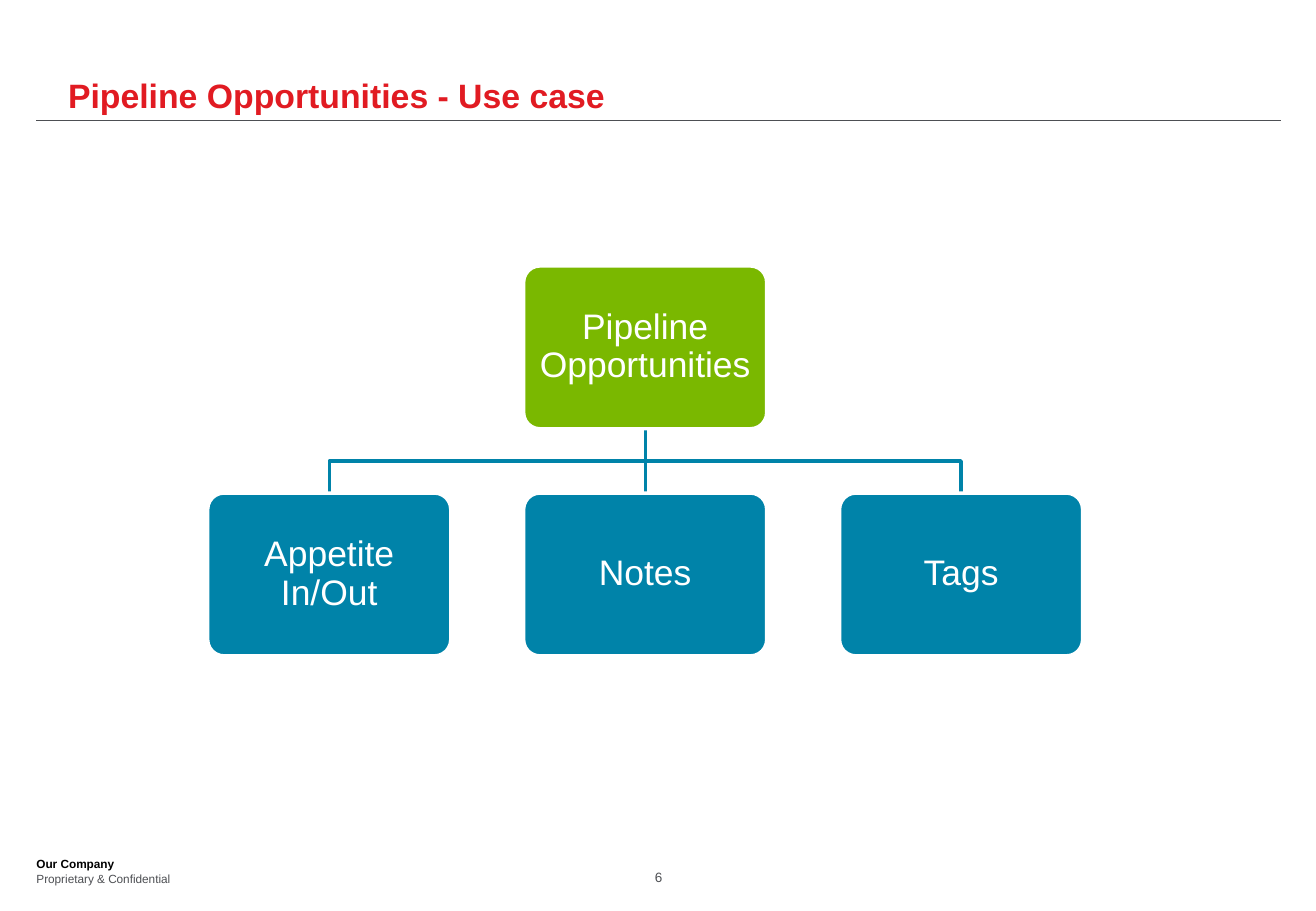
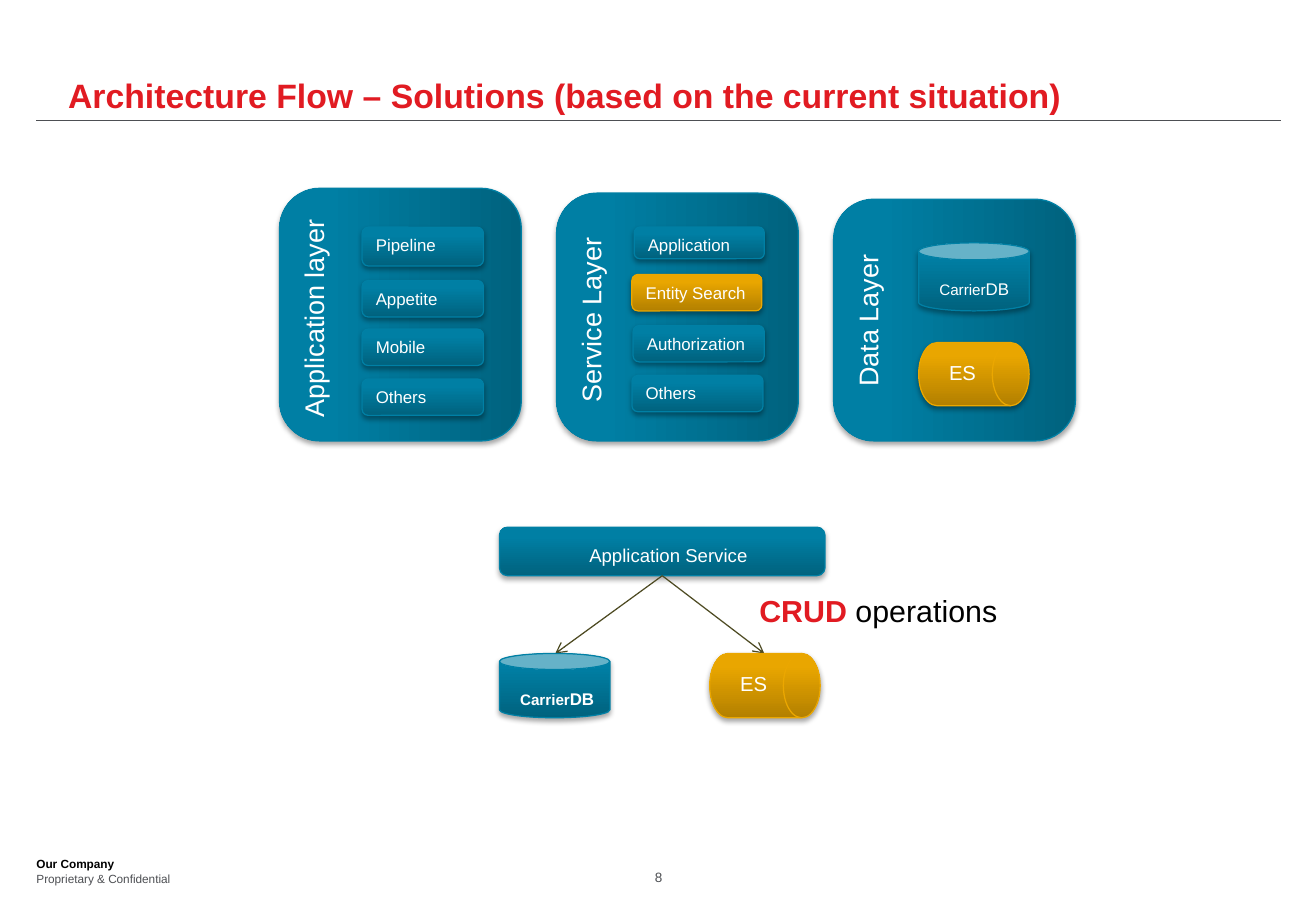
"""Build two slides: a pipeline use-case tree and a layered architecture flow."""
from lxml import etree
from pptx import Presentation, util as u
from pptx.dml.color import RGBColor
from pptx.enum import shapes, text
from pptx.oxml import parse_xml
from pptx.oxml.ns import qn, nsdecls

W, H = 10.83, 7.5
RED, GREEN, BLUE, GREY, OLIVE = "E11B22", "7AB800", "0083A9", "4D4F53", "4E4B23"
WHITE, BLACK = "FFFFFF", "000000"
TEAL = ("00627E", "007FA4", "0080A5")
GOLD = ("B38000", "E9A600", "EBA700")
FOOTER = [[("Our Company", {"size": 7, "color": BLACK, "bold": True})],
          [("Proprietary & Confidential", {"size": 7, "color": GREY})]]

USE_CASE = ("Pipeline Opportunities - Use case", "6")
ROOT = "Pipeline Opportunities"
BRANCHES = ["Appetite In/Out", "Notes", "Tags"]

FLOW = ("Architecture Flow – Solutions (based on the current situation)", "8")
LAYERS = [("Application layer", 2.08, 0.1),
          ("Service Layer", 2.04, 0.22),
          ("Data Layer", 1.99, 0.35)]
MODULES = [("Pipeline", 2.98, 1.87, 1, 0.32, TEAL),
           ("Appetite", 2.98, 2.31, 1, 0.3, TEAL),
           ("Mobile", 2.98, 2.71, 1, 0.3, TEAL),
           ("Others", 2.98, 3.12, 1, 0.3, TEAL),
           ("Application", 5.22, 1.87, 1.07, 0.26, TEAL),
           ("Entity Search", 5.2, 2.26, 1.07, 0.3, GOLD),
           ("Authorization", 5.21, 2.68, 1.08, 0.3, TEAL),
           ("Others", 5.2, 3.09, 1.08, 0.3, TEAL)]
SERVICE = "Application Service"
DATABASE = ("Carrier", "DB")
INDEX = "ES"
CRUD = [[("CRUD", {"size": 18, "color": RED, "bold": True}),
         (" operations", {"size": 18, "color": BLACK})]]

SHAPE = shapes.MSO_SHAPE
CENTER = text.PP_ALIGN.CENTER
TOP, MIDDLE, BOTTOM = (text.MSO_ANCHOR.TOP, text.MSO_ANCHOR.MIDDLE,
                       text.MSO_ANCHOR.BOTTOM)

prs = Presentation()
prs.slide_width, prs.slide_height = u.Inches(W), u.Inches(H)


def inches(*values):
    return [u.Inches(v) for v in values]


def rgb(value):
    return RGBColor.from_string(value)


def write(sp, paragraphs, anchor=TOP, margins=(0, 0, 0, 0), align=text.PP_ALIGN.LEFT,
          spacing=1.0):
    tf = sp.text_frame
    tf.word_wrap, tf.auto_size = True, text.MSO_AUTO_SIZE.NONE
    tf.vertical_anchor = anchor
    for side, value in zip(("left", "top", "right", "bottom"), margins):
        setattr(tf, f"margin_{side}", u.Inches(value))
    for i, runs in enumerate(paragraphs):
        p = tf.add_paragraph() if i else tf.paragraphs[0]
        p.alignment, p.line_spacing = align, spacing
        for words, style in runs:
            r = p.add_run()
            r.text = words
            values = {"name": "Arial", "bold": False, **style}
            r.font.color.rgb = rgb(values.pop("color", WHITE))
            values["size"] = u.Pt(values["size"])
            for name, value in values.items():
                setattr(r.font, name, value)


def text_box(s, box, paragraphs, **layout):
    write(s.shapes.add_textbox(*inches(*box)), paragraphs, **layout)


def connect(s, start, end, color, width, arrow=False):
    line = s.shapes.add_connector(shapes.MSO_CONNECTOR.STRAIGHT, *inches(*start, *end))
    line.line.color.rgb, line.line.width = rgb(color), u.Pt(width)
    if arrow:
        etree.SubElement(line._element.spPr.find(qn("a:ln")), qn("a:tailEnd"), type="arrow")
    etree.SubElement(line._element.spPr, qn("a:effectLst"))


def new_slide(title, number):
    s = prs.slides.add_slide(prs.slide_layouts[5])
    sp = s.shapes.title
    sp.left, sp.top, sp.width, sp.height = inches(0.56, 0.22, 9.75, 0.73)
    write(sp, [[(title, {"size": 20, "color": RED, "bold": True})]], anchor=BOTTOM)
    connect(s, (0.3, 0.99), (10.54, 0.99), GREY, 0.75)
    text_box(s, (0.3, 7.05, 7.15, 0.24), FOOTER, anchor=BOTTOM)
    text_box(s, (5.21, 7.16, 0.42, 0.13), [[(number, {"size": 8, "color": GREY})]],
             anchor=BOTTOM, align=CENTER)
    return s


def node(s, label, x, y, w, h, color):
    sp = s.shapes.add_shape(SHAPE.ROUNDED_RECTANGLE, *inches(x, y, w, h))
    sp.adjustments[0] = 0.1
    sp.shadow.inherit = False
    sp.fill.solid()
    sp.fill.fore_color.rgb = rgb(color)
    sp.line.color.rgb, sp.line.width = rgb(WHITE), u.Pt(2)
    write(sp, [[(label, {"size": 21})]], anchor=MIDDLE, margins=(0.08,) * 4,
          align=CENTER, spacing=0.9)


def glossy(s, kind, box, colors, runs, margins=(0.1, 0.05, 0.1, 0.05), turn=0, spacing=1.0):
    sp = s.shapes.add_shape(kind, *inches(*box))
    sp.rotation = turn
    sp.fill.gradient()
    sp.fill.gradient_angle = 90
    for stop, position, color in zip(sp.fill.gradient_stops, (0, 0.8), colors):
        stop.position, stop.color.rgb = position, rgb(color)
    sp.line.color.rgb, sp.line.width = rgb(colors[2]), u.Pt(0.75)
    sp.shadow.inherit = False
    sp._element.spPr.find(qn("a:effectLst")).append(parse_xml(
        f'<a:outerShdw {nsdecls("a")} blurRad="{u.Pt(3.1)}" dist="{u.Pt(1.8)}" '
        'dir="5400000" rotWithShape="0"><a:srgbClr val="000000">'
        '<a:alpha val="35000"/></a:srgbClr></a:outerShdw>'))
    write(sp, [runs], margins=margins, spacing=spacing)


def stores(s, database, index, bold):
    name, suffix = DATABASE
    glossy(s, SHAPE.CAN, database, TEAL,
           [(name, {"size": 9, "bold": bold}), (suffix, {"size": 10, "bold": bold})],
           margins=(0.17, 0.07, 0, 0.05), spacing=1.5)
    glossy(s, SHAPE.FLOWCHART_DIRECT_ACCESS_STORAGE, index, GOLD,
           [(INDEX, {"size": 12})], spacing=1.5)


def use_case_slide():
    s = new_slide(*USE_CASE)
    w, h, left, pitch, root_y, branch_y = 2, 1.34, 1.71, 2.6, 2.19, 4.06
    centers = [left + w / 2 + pitch * i for i in range(len(BRANCHES))]
    middle, root_bottom = centers[1], root_y + h
    bus_y = (root_bottom + branch_y) / 2
    first, last = centers[0], centers[-1]
    bus = s.shapes.build_freeform(*inches(first, branch_y))
    bus.add_line_segments([inches(*point) for point in (
        (first, bus_y), (last, bus_y), (last, branch_y))], close=False)
    sp = bus.convert_to_shape()
    sp.shadow.inherit = False
    sp.fill.background()
    sp.line.color.rgb, sp.line.width = rgb(BLUE), u.Pt(2)
    connect(s, (middle, root_bottom), (middle, branch_y), BLUE, 2)
    node(s, ROOT, middle - w / 2, root_y, w, h, GREEN)
    for label, x in zip(BRANCHES, centers):
        node(s, label, x - w / 2, branch_y, w, h, BLUE)


def flow_slide():
    s = new_slide(*FLOW)
    breadth, left, pitch, bottom = 1.99, 2.3, 2.28, 3.63
    for i, (label, length, indent) in enumerate(LAYERS):
        x = left + pitch * i + (breadth - length) / 2
        y = bottom - (length + breadth) / 2
        glossy(s, SHAPE.ROUNDED_RECTANGLE, (x, y, length, breadth), TEAL,
               [(label, {"size": 16})], margins=(indent, 0.05, 0, 0.05), turn=270)
    for label, *box, colors in MODULES:
        glossy(s, SHAPE.ROUNDED_RECTANGLE, box, colors, [(label, {"size": 10})],
               margins=(0.1, 0.05, 0, 0.05))
    stores(s, (7.56, 2, 0.91, 0.56), (7.56, 2.82, 0.91, 0.52), False)
    x, y, w, h = service = (4.11, 4.34, 2.68, 0.4)
    glossy(s, SHAPE.ROUNDED_RECTANGLE, service, TEAL, [(SERVICE, {"size": 11})],
           margins=(0.72, 0.12, 0.1, 0))
    store_y = 5.38
    for target in (4.57, 6.29):
        connect(s, (x + w / 2, y + h), (target, store_y), OLIVE, 0.75, arrow=True)
    text_box(s, (6.15, 4.83, 2.32, 0.4), CRUD, margins=(0.1, 0.05, 0.1, 0.05))
    stores(s, (x, store_y, 0.91, 0.53), (5.84, store_y, 0.91, 0.53), True)


use_case_slide()
flow_slide()
prs.save("out.pptx")
